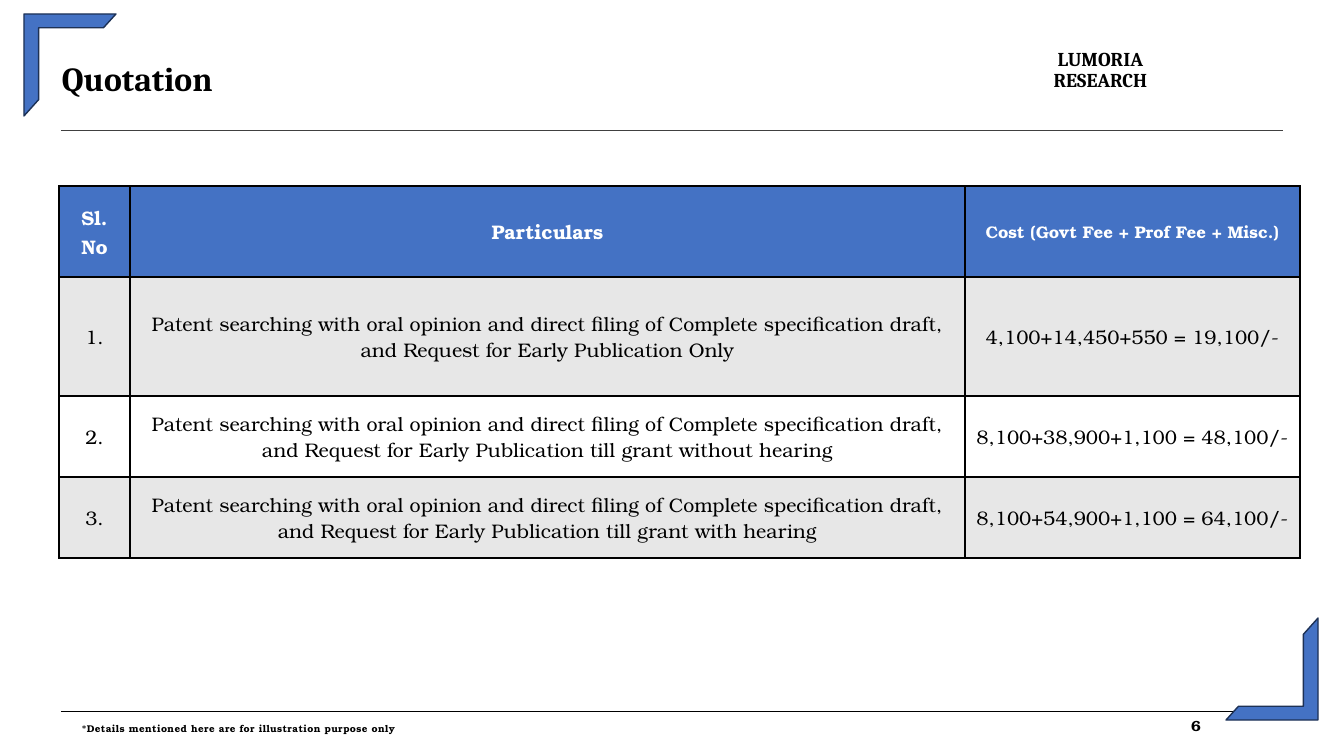
from dataclasses import dataclass

import lxml.etree
import pptx
import pptx.dml.color
import pptx.enum.shapes
import pptx.enum.text
import pptx.oxml
import pptx.oxml.ns
import pptx.util

PX = 914400 / 100.8
BLUE, NAVY, GREY, WHITE, BLACK = "4472C4", "1D3155", "E7E7E7", "FFFFFF", "000000"
SERIF, BOOK = "Cambria", "TeX Gyre Bonum"
ALIGN = pptx.enum.text.PP_ALIGN
MIDDLE = pptx.enum.text.MSO_ANCHOR.MIDDLE


@dataclass
class Box:
    x: int
    y: int
    w: int
    h: int

    def emu(self) -> list[int]:
        return [px(v) for v in (self.x, self.y, self.w, self.h)]


@dataclass
class Label:
    text: str
    box: Box
    font: str
    size: float
    align: ALIGN = ALIGN.LEFT
    tracking: int = 0


@dataclass
class Corner:
    box: Box
    rotation: int


@dataclass
class Rule:
    y: int
    width: float
    color: str


TITLE = Label("Quotation", Box(62, 58, 600, 46), SERIF, 24)
LABELS = [
    Label("LUMORIA\nRESEARCH", Box(1040, 49, 121, 44), SERIF, 14, ALIGN.CENTER),
    Label("*Details mentioned here are for illustration purpose only",
          Box(82, 719, 500, 20), BOOK, 7, tracking=30),
    Label("6", Box(1181, 717, 30, 20), BOOK, 10.5, ALIGN.CENTER),
]
CORNERS = [Corner(Box(24, 14, 92, 102), 0), Corner(Box(1226, 618, 92, 102), 180)]
RULES = [Rule(130, 0.5, "404040"), Rule(711, 0.5, BLACK)]

TABLE_X, TABLE_Y = 59, 186
COLUMNS = [71, 835, 335]
ROW_HEIGHTS = [91, 119, 81, 81]
HEADERS = ["Sl. No", "Particulars", "Cost (Govt Fee + Prof Fee + Misc.)"]
SERVICE = ("Patent searching with oral opinion and direct filing of Complete "
           "specification draft, and Request for Early Publication ")
OFFERS = [
    ("Only", "4,100+14,450+550 = 19,100/-"),
    ("till grant without hearing", "8,100+38,900+1,100 = 48,100/-"),
    ("till grant with hearing", "8,100+54,900+1,100 = 64,100/-"),
]


def px(value: float) -> int:
    return round(value * PX)


def rgb(color: str) -> pptx.dml.color.RGBColor:
    return pptx.dml.color.RGBColor.from_string(color)


def set_font(font, name: str, size: float, bold: bool, color: str) -> None:
    for attr, value in {"name": name, "size": pptx.util.Pt(size), "bold": bold}.items():
        setattr(font, attr, value)
    font.color.rgb = rgb(color)


def write_label(s, label: Label) -> None:
    s.left, s.top, s.width, s.height = label.box.emu()
    tf = s.text_frame
    tf.text = label.text
    frame_format = {"margin_left": 0, "margin_right": 0, "margin_top": 0,
                    "margin_bottom": 0, "word_wrap": True, "vertical_anchor": MIDDLE,
                    "auto_size": pptx.enum.text.MSO_AUTO_SIZE.NONE}
    for attr, value in frame_format.items():
        setattr(tf, attr, value)
    for p in tf.paragraphs:
        p.alignment = label.align
        p.line_spacing = 0.9
        for r in p.runs:
            set_font(r.font, label.font, label.size, True, BLACK)
            if label.tracking:
                r.font._element.set("spc", str(label.tracking))


def add_rule(shapes, rule: Rule) -> None:
    s = shapes.add_connector(pptx.enum.shapes.MSO_CONNECTOR.STRAIGHT,
                             px(61), px(rule.y), px(1283), px(rule.y))
    s.line.color.rgb = rgb(rule.color)
    s.line.width = pptx.util.Pt(rule.width)
    lxml.etree.SubElement(s._element.spPr, pptx.oxml.ns.qn("a:effectLst"))


def add_corner(shapes, corner: Corner) -> None:
    s = shapes.add_shape(pptx.enum.shapes.MSO_SHAPE.HALF_FRAME, *corner.box.emu())
    s.adjustments[0], s.adjustments[1] = 0.15, 0.16
    s.rotation = corner.rotation
    s.shadow.inherit = False
    s.fill.solid()
    s.fill.fore_color.rgb = rgb(BLUE)
    s.line.color.rgb = rgb(NAVY)
    s.line.width = pptx.util.Pt(1)


def add_borders(cell) -> None:
    for side in ("lnL", "lnR", "lnT", "lnB"):
        cell._tc.get_or_add_tcPr().append(pptx.oxml.parse_xml(
            f'<a:{side} {pptx.oxml.ns.nsdecls("a")} w="12192"><a:solidFill>'
            f'<a:srgbClr val="{BLACK}"/></a:solidFill></a:{side}>'))


def write_cell(cell, text: str, size: float, bold: bool, color: str, fill: str) -> None:
    add_borders(cell)
    cell.fill.solid()
    cell.fill.fore_color.rgb = rgb(fill)
    cell.vertical_anchor = MIDDLE
    p = cell.text_frame.paragraphs[0]
    p.alignment = ALIGN.CENTER
    r = p.add_run()
    r.text = text
    set_font(r.font, BOOK, size, bold, color)


def add_quotation(shapes) -> None:
    box = Box(TABLE_X, TABLE_Y, sum(COLUMNS), sum(ROW_HEIGHTS))
    table = shapes.add_table(len(ROW_HEIGHTS), len(COLUMNS), *box.emu()).table
    for column, width in zip(table.columns, COLUMNS):
        column.width = px(width)
    for row, height in zip(table.rows, ROW_HEIGHTS):
        row.height = px(height)
    for col, text in enumerate(HEADERS):
        write_cell(table.cell(0, col), text, 12 if col == 2 else 14, True, WHITE, BLUE)
    for row, (scope, cost) in enumerate(OFFERS, 1):
        for col, text in enumerate((f"{row}.", SERVICE + scope, cost)):
            write_cell(table.cell(row, col), text, 14, False, BLACK,
                       GREY if row % 2 else WHITE)


def main() -> None:
    prs = pptx.Presentation()
    prs.slide_width, prs.slide_height = px(1344), px(756)
    slide = prs.slides.add_slide(prs.slide_layouts[5])
    shapes = slide.shapes
    write_label(shapes.title, TITLE)
    for rule in RULES:
        add_rule(shapes, rule)
    add_quotation(shapes)
    for corner in CORNERS:
        add_corner(shapes, corner)
    for label in LABELS:
        write_label(shapes.add_textbox(*label.box.emu()), label)
    prs.save("out.pptx")


if __name__ == "__main__":
    main()
